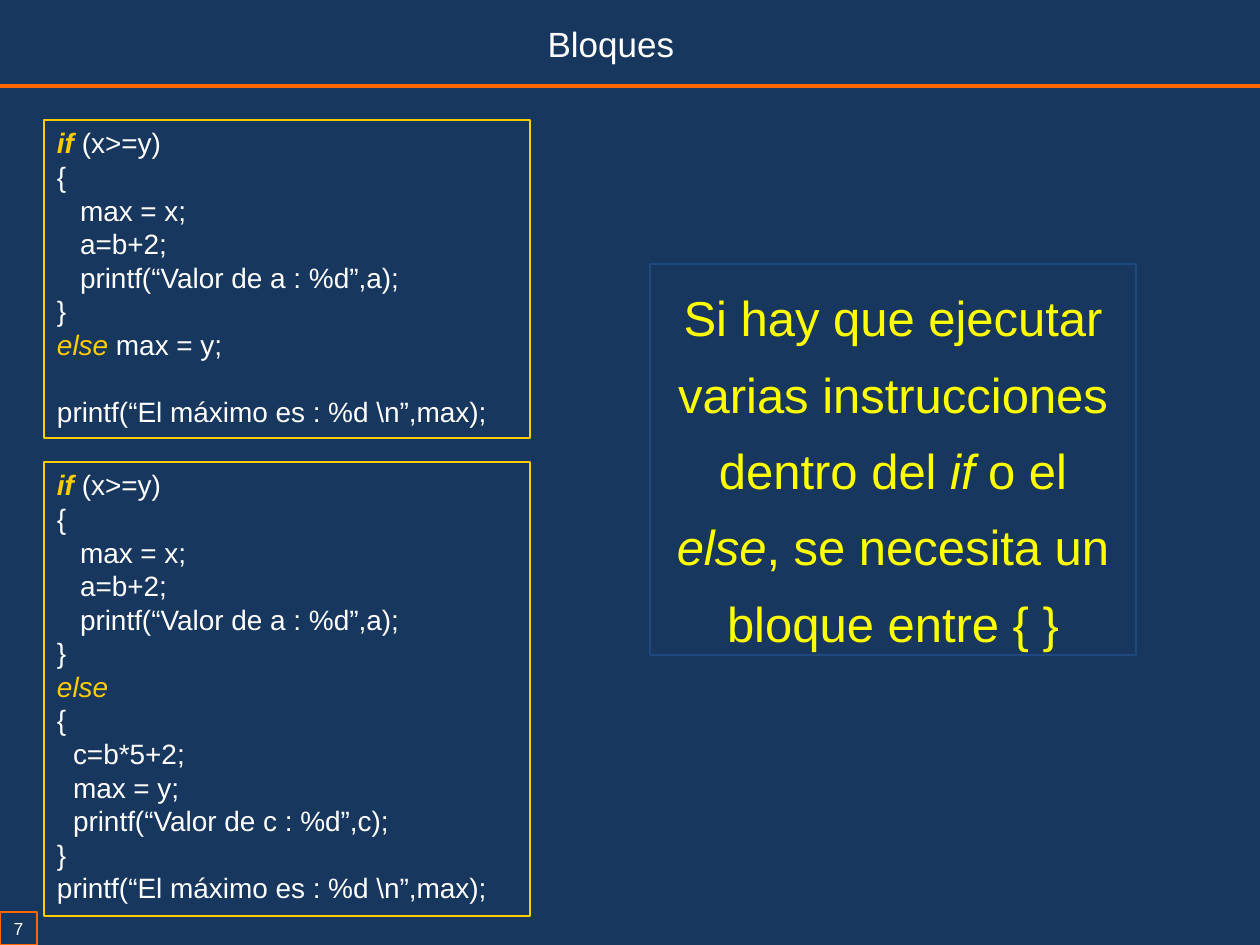
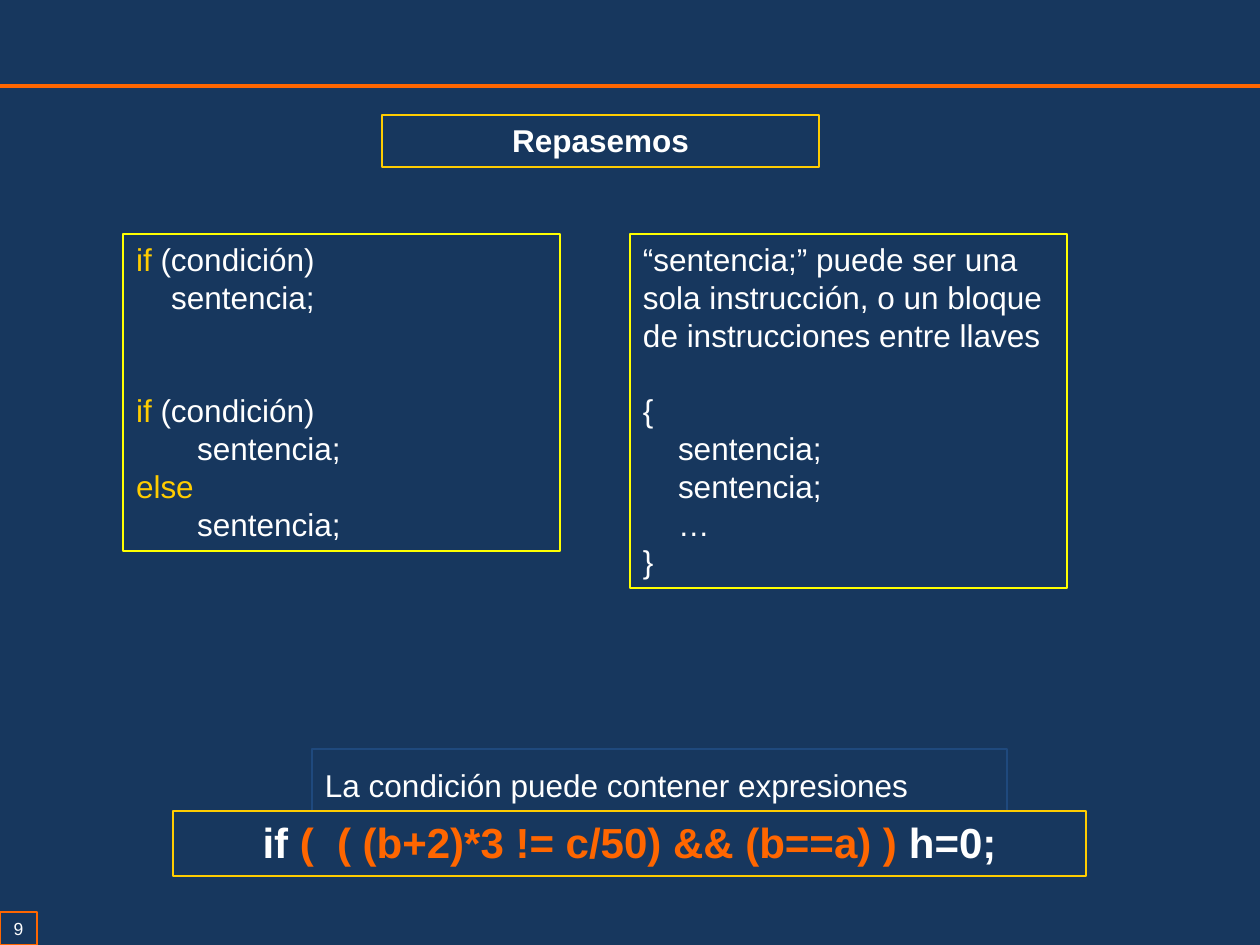
from dataclasses import dataclass, field
from typing import NamedTuple, Optional

from lxml import etree
from pptx import Presentation
from pptx.dml.color import RGBColor
from pptx.enum.shapes import MSO_CONNECTOR, MSO_SHAPE
from pptx.enum.text import MSO_ANCHOR, MSO_AUTO_SIZE, PP_ALIGN
from pptx.oxml.ns import qn
from pptx.util import Emu, Pt

RECTANGLE, STRAIGHT = MSO_SHAPE.RECTANGLE, MSO_CONNECTOR.STRAIGHT
LEFT, CENTER = PP_ALIGN.LEFT, PP_ALIGN.CENTER
TOP, MIDDLE = MSO_ANCHOR.TOP, MSO_ANCHOR.MIDDLE
NO_AUTOSIZE = MSO_AUTO_SIZE.NONE

PX_PER_INCH = 126
TITLE_ONLY = 5


@dataclass(frozen=True)
class Theme:
    font: str = "Arial"
    navy: str = "17375E"
    blue: str = "1F497D"
    orange: str = "FF6600"
    gold: str = "FFCC00"
    yellow: str = "FFFF00"
    white: str = "FFFFFF"
    number_size: int = 10
    code_size: int = 16
    body_size: int = 18
    title_size: int = 20
    expression_size: int = 24
    message_size: int = 28
    line_height: float = 1.2
    loose_spacing: float = 1.3
    border: float = 0.75
    band: float = 2


THEME = Theme()


class Box(NamedTuple):
    left: int
    top: int
    width: int
    height: int


class Span(NamedTuple):
    text: str
    color: str = THEME.white
    bold: bool = False
    italic: bool = False


class Line(NamedTuple):
    spans: list[Span]
    indent: int = 0
    lines_before: int = 0


@dataclass(frozen=True)
class Panel:
    box: Box
    lines: list[Line]
    size: int = THEME.body_size
    border: Optional[str] = THEME.gold
    align: PP_ALIGN = LEFT
    spacing: float = 1.0
    anchor: MSO_ANCHOR = TOP
    wrap: bool = True
    margins: tuple[int, int] = (13, 6)


@dataclass(frozen=True)
class SlideContent:
    number: int
    title: Panel
    panels: list[Panel] = field(default_factory=list)


def px(value: int) -> Emu:
    return Emu(round(value * 914400 / PX_PER_INCH))


def rgb(color: str) -> RGBColor:
    return RGBColor.from_string(color)


def apply(target, values: dict) -> None:
    for name, value in values.items():
        setattr(target, name, value)


def plain(text: str, indent: int = 0, lines_before: int = 0) -> Line:
    return Line([Span(text)], indent, lines_before)


# Text and shapes

def write_lines(text_frame, panel: Panel) -> None:
    side, edge = (px(margin) for margin in panel.margins)
    apply(text_frame, {
        "auto_size": NO_AUTOSIZE, "word_wrap": panel.wrap,
        "vertical_anchor": panel.anchor,
        "margin_left": side, "margin_right": side,
        "margin_top": edge, "margin_bottom": edge,
    })
    for index, line in enumerate(panel.lines):
        paragraph = text_frame.add_paragraph() if index else text_frame.paragraphs[0]
        gap = line.lines_before * panel.size * THEME.line_height
        apply(paragraph, {
            "alignment": panel.align, "line_spacing": panel.spacing,
            "space_before": Pt(gap), "space_after": Pt(0),
        })
        properties = paragraph._p.get_or_add_pPr()
        properties.set("marL", str(px(line.indent)))
        properties.set("indent", "0")
        for span in line.spans:
            run = paragraph.add_run()
            run.text = span.text
            apply(run.font, {
                "name": THEME.font, "size": Pt(panel.size),
                "bold": span.bold, "italic": span.italic,
            })
            run.font.color.rgb = rgb(span.color)


def format_panel(shape, panel: Panel) -> None:
    shape.fill.background()
    if panel.border:
        shape.line.color.rgb = rgb(panel.border)
        shape.line.width = Pt(THEME.border)
    write_lines(shape.text_frame, panel)


def draw_panel(slide, panel: Panel) -> None:
    shape = slide.shapes.add_shape(RECTANGLE, *map(px, panel.box))
    shape.shadow.inherit = False
    format_panel(shape, panel)


def place_title(slide, panel: Panel) -> None:
    title = slide.shapes.title
    apply(title, dict(zip(panel.box._fields, map(px, panel.box))))
    format_panel(title, panel)


# Parts shared by every slide

def draw_frame(slide, number: int) -> None:
    band = slide.shapes.add_connector(STRAIGHT, px(0), px(86), px(1260), px(86))
    band.line.color.rgb = rgb(THEME.orange)
    band.line.width = Pt(THEME.band)
    etree.SubElement(band._element.spPr, qn("a:effectLst"))
    draw_panel(slide, Panel(
        Box(0, 912, 37, 33), [plain(str(number))], THEME.number_size,
        THEME.orange, CENTER, anchor=MIDDLE, wrap=False, margins=(3, 5)))


def build_slide(presentation, content: SlideContent) -> None:
    slide = presentation.slides.add_slide(presentation.slide_layouts[TITLE_ONLY])
    draw_frame(slide, content.number)
    place_title(slide, content.title)
    for panel in content.panels:
        draw_panel(slide, panel)


# Slide about blocks

IF_BLOCK = [
    Line([Span("if", THEME.gold, bold=True, italic=True), Span(" (x>=y)")]),
    plain("{"),
    plain("max = x;", 23),
    plain("a=b+2;", 23),
    plain("printf(“Valor de a : %d”,a);", 23),
    plain("}"),
]
PRINT_MAXIMUM = "printf(“El máximo es : %d \\n”,max);"

ELSE_SINGLE = [
    Line([Span("else ", THEME.gold, italic=True), Span("max = y;")]),
    plain(PRINT_MAXIMUM, lines_before=1),
]
ELSE_BLOCK = [
    Line([Span("else", THEME.gold, italic=True)]),
    plain("{"),
    plain("c=b*5+2;", 16),
    plain("max = y;", 16),
    plain("printf(“Valor de c : %d”,c);", 16),
    plain("}"),
    plain(PRINT_MAXIMUM),
]
BLOCK_RULE = Line([
    Span("Si hay que ejecutar varias instrucciones dentro del ", THEME.yellow),
    Span("if", THEME.yellow, italic=True),
    Span(" o el ", THEME.yellow),
    Span("else", THEME.yellow, italic=True),
    Span(", se necesita un bloque entre { }", THEME.yellow),
])

BLOCKS = SlideContent(
    7,
    Panel(Box(534, 16, 154, 55), [plain("Bloques")], THEME.title_size,
          None, CENTER, wrap=False),
    [
        Panel(Box(44, 120, 486, 318), IF_BLOCK + ELSE_SINGLE, THEME.code_size),
        Panel(Box(650, 264, 486, 391), [BLOCK_RULE], THEME.message_size,
              THEME.blue, CENTER, THEME.loose_spacing),
        Panel(Box(44, 462, 486, 454), IF_BLOCK + ELSE_BLOCK, THEME.code_size),
    ],
)

# Review slide


def condition(lines_before: int = 0) -> Line:
    return Line([Span("if", THEME.gold), Span(" (condición)")],
                lines_before=lines_before)


STATEMENT = "sentencia;"
IF_FORMS = [
    condition(),
    plain(STATEMENT, 35),
    condition(lines_before=2),
    plain(STATEMENT, 61),
    Line([Span("else", THEME.gold)]),
    plain(STATEMENT, 61),
]
STATEMENT_MEANING = [
    plain("“sentencia;” puede ser una sola instrucción, "
          "o un bloque de instrucciones entre llaves"),
    plain("{", lines_before=1),
    plain(STATEMENT, 35),
    plain(STATEMENT, 35),
    plain("…", 35),
    plain("}"),
]
EXPRESSION = Line([
    Span("if ", bold=True),
    Span("(  ( (b+2)*3 != c/50) && (b==a) ) ", THEME.orange, bold=True),
    Span("h=0;", bold=True),
])

REVIEW = SlideContent(
    9,
    Panel(Box(382, 115, 437, 52), [Line([Span("Repasemos", bold=True)])],
          align=CENTER),
    [
        Panel(Box(123, 234, 437, 317), IF_FORMS, border=THEME.yellow),
        Panel(Box(630, 234, 437, 354), STATEMENT_MEANING, border=THEME.yellow),
        Panel(Box(312, 749, 695, 62),
              [plain("La condición puede contener expresiones")],
              border=THEME.blue, spacing=THEME.loose_spacing),
        Panel(Box(173, 811, 913, 65), [EXPRESSION], THEME.expression_size,
              align=CENTER),
    ],
)


def main() -> None:
    presentation = Presentation()
    presentation.slide_width, presentation.slide_height = px(1260), px(945)
    background = presentation.slide_master.background.fill
    background.solid()
    background.fore_color.rgb = rgb(THEME.navy)
    for content in (BLOCKS, REVIEW):
        build_slide(presentation, content)
    presentation.save("out.pptx")


if __name__ == "__main__":
    main()
